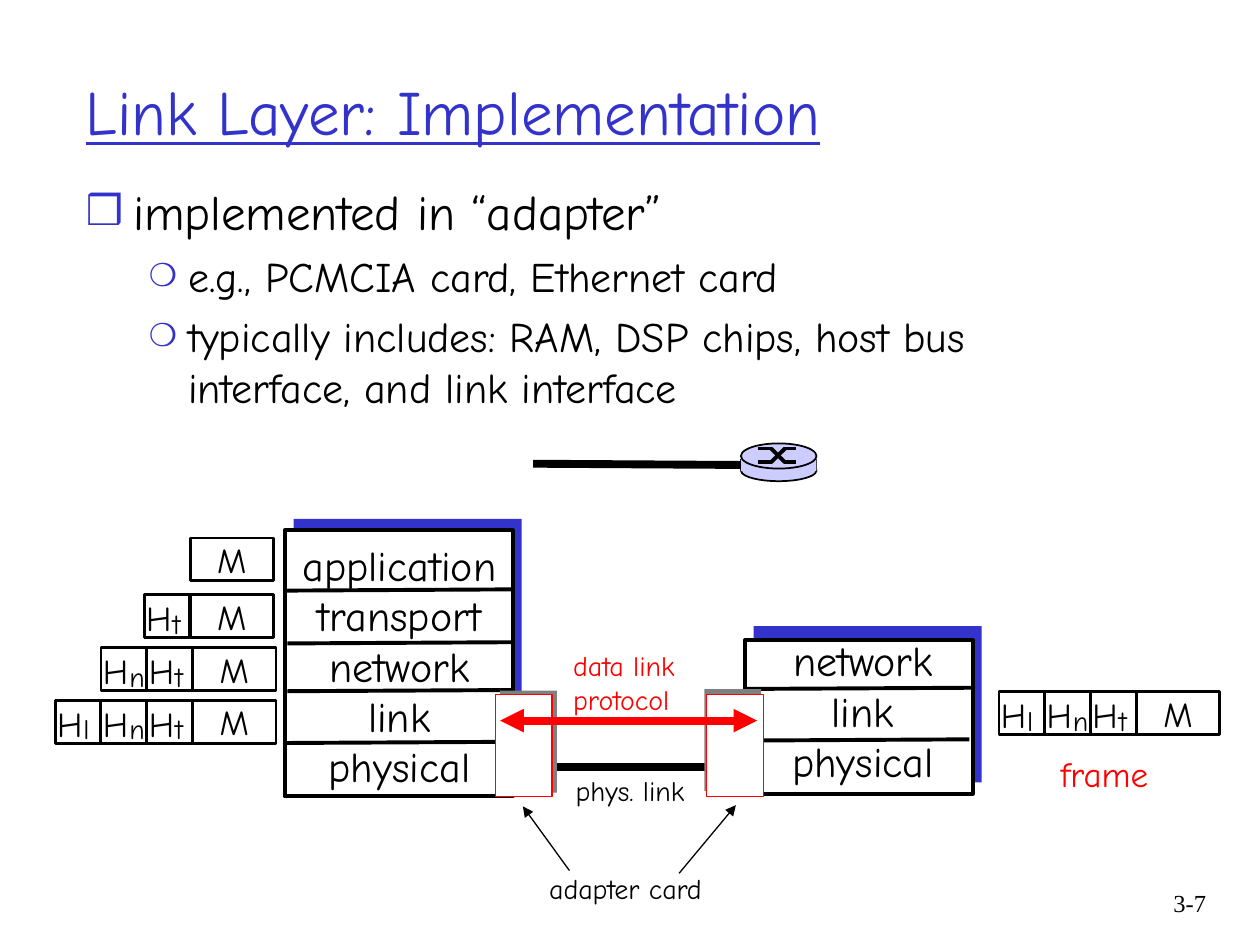
from lxml import etree
from pptx import Presentation
from pptx.dml.color import RGBColor
from pptx.enum.shapes import MSO_CONNECTOR, MSO_SHAPE
from pptx.enum.text import MSO_ANCHOR, MSO_AUTO_SIZE, PP_ALIGN
from pptx.oxml.ns import qn
from pptx.util import Pt

RECT, OVAL = MSO_SHAPE.RECTANGLE, MSO_SHAPE.OVAL
STRAIGHT = MSO_CONNECTOR.STRAIGHT
LEFT, MID, RIGHT = PP_ALIGN.LEFT, PP_ALIGN.CENTER, PP_ALIGN.RIGHT
TOP, CENTER = MSO_ANCHOR.TOP, MSO_ANCHOR.MIDDLE
FIXED = MSO_AUTO_SIZE.NONE
HEX = {"blue": "3333CC", "black": "000000", "white": "FFFFFF",
       "red": "FF0000", "gray": "808080", "pale": "CCCCFF"}
RGB = {name: RGBColor.from_string(code) for name, code in HEX.items()}

deck = Presentation()
deck.slide_width, deck.slide_height = Pt(720), Pt(540)
slide = deck.slides.add_slide(deck.slide_layouts[1])
shapes = slide.shapes


def put(text, x, y, w, h, host=None, kind=None, fill=None, edge=None, weight=1,
        size=16, color="black", font="Comic Neue", align=LEFT, anchor=TOP,
        wrap=False, under=False):
    """Place text in a placeholder (host), a preset shape (kind) or a text box."""
    spot = Pt(x), Pt(y), Pt(w), Pt(h)
    if host is not None:
        item = host
        item.left, item.top, item.width, item.height = spot
    elif kind is not None:
        item = shapes.add_shape(kind, *spot)
        item.shadow.inherit = False
        item.fill.solid()
        item.fill.fore_color.rgb = RGB[fill]
        if edge:
            item.line.color.rgb = RGB[edge]
            item.line.width = Pt(weight)
        else:
            item.line.fill.background()
    else:
        item = shapes.add_textbox(*spot)
    if text:
        frame = item.text_frame
        frame.auto_size = FIXED
        frame.word_wrap = wrap
        frame.vertical_anchor = anchor
        frame.text = text
        for para in frame.paragraphs:
            para.alignment = align
            face = para.runs[0].font
            face.name, face.size = font, Pt(size)
            face.color.rgb = RGB[color]
            if under:
                face.underline = True
    return item


def line(x1, y1, x2, y2, weight=2.25, color="black", ends=()):
    link = shapes.add_connector(STRAIGHT, Pt(x1), Pt(y1), Pt(x2), Pt(y2))
    link.line.color.rgb = RGB[color]
    link.line.width = Pt(weight)
    props = link._element.spPr
    for end in ends:
        etree.SubElement(props.find(qn("a:ln")), qn("a:" + end), type="triangle")
    etree.SubElement(props, qn("a:effectLst"))


# Title, list and page number
put("Link Layer: Implementation", 41.8, 18, 612, 90, host=shapes.title, size=36,
    color="blue", anchor=CENTER, wrap=True, under=True)
body = put("implemented in “adapter”\n"
           "e.g., PCMCIA card, Ethernet card\n"
           "typically includes: RAM, DSP chips, host bus interface, and link interface",
           41.8, 100, 612, 366, host=slide.placeholders[1], size=24, wrap=True)
for row, para in enumerate(body.text_frame.paragraphs):
    if row:
        para.level, mark, part, left, hang = 1, "❍", 75, 58.5, 22.5
    else:
        para.runs[0].font.size = Pt(28)
        mark, part, left, hang = "❒", 85, 27, 27
    para.space_before = Pt(5.76 if row else 0)
    props = para._p.get_or_add_pPr()
    props.set("marL", str(Pt(left)))
    props.set("indent", str(-Pt(hang)))
    tint = etree.SubElement(props, qn("a:buClr"))
    etree.SubElement(tint, qn("a:srgbClr"), val=HEX["blue"])
    etree.SubElement(props, qn("a:buSzPct"), val=str(part * 1000))
    etree.SubElement(props, qn("a:buChar"), char=mark)
put("3-7", 643, 504, 53.3, 36, size=14, font="Times New Roman", align=RIGHT, wrap=True)

# Protocol stacks: back panel, front panel, dividers, layer names
stacks = [
    ((167.8, 296.6, 130.3, 152), (162.7, 303.1, 130.3, 152),
     [(162.7, 337.5), (164.2, 367.7), (164.2, 395), (162, 424.6)],
     "application\ntransport\nnetwork\nlink\nphysical", (161.3, 304.6, 133.9, 151.2)),
    ((430.6, 357.8, 130.3, 89.3), (425.5, 365.8, 130.3, 87.8),
     [(427, 393.7), (424.8, 423.2)],
     "network\nlink\nphysical", (440.6, 359.3, 105.1, 93.6)),
]
for back, front, cuts, names, area in stacks:
    put("", *back, kind=RECT, fill="blue")
    put("", *front, kind=RECT, fill="white", edge="black", weight=2.25)
    for x, y in cuts:
        line(x, y, x + 129.2, y - 0.7)
    put(names, *area, size=24, align=MID)

# Messages with the headers that each layer adds
cell = {"kind": RECT, "fill": "white", "edge": "black", "weight": 1.5}
for x, y, heads in [(108.7, 307.4, ""), (108.7, 339.8, "t"), (110.2, 370.1, "tn"),
                    (110.2, 400.3, "tnl"), (649.4, 395.3, "tnl")]:
    put("M", x, y, 47.5, 24.5, size=20, align=MID, anchor=CENTER, **cell)
    for step, sub in enumerate(heads, 1):
        left = x - 26.2 * step
        put("", left, y, 26, 24.5, **cell)
        put("H", left - 6, y - 2.4, 24.5, 31, size=20, wrap=True)
        put(sub, left + 9, y + 3, 23, 26.6, wrap=True)
put("frame", 599, 426.2, 71.3, 31, size=20, color="red")
line(293, 438.5, 423.4, 438.5, 4.5)

# Router
disc = {"kind": OVAL, "fill": "pale", "edge": "black"}
put("", 423.4, 262.8, 43.2, 12.2, **disc)
for x in (423.4, 466.6):
    line(x, 262.1, x, 269.3, 1)
put("", 423.4, 262.1, 43.2, 7.2, kind=RECT, fill="pale")
put("", 423.4, 253.4, 43.2, 14.4, **disc)
for start, end in [(256.3, 264.2), (264.2, 256.3)]:
    line(433.4, start, 441, start)
    line(440.6, start, 448.6, end)
    line(447.8, end, 455, end)
line(304.6, 265, 423.4, 265.7, 4.5)

# Adapter cards and the links between them
for shade, card in [((285.8, 394.6), 283), ((402.5, 393.8), 403.9)]:
    put("", *shade, 32.4, 58.3, kind=RECT, fill="gray")
    put("", card, 396.7, 32.4, 58.3, kind=RECT, fill="white", edge="red", weight=0.75)
put("phys. link", 321.8, 438.5, 82.8, 26.6)
line(285.8, 411.8, 432.7, 411.8, 4.5, "red", ("headEnd", "tailEnd"))
put("data link\nprotocol", 320.4, 367.2, 78.5, 46, color="red")
put("adapter card", 306.7, 494.6, 111.6, 26.6)
line(325.4, 497.5, 298.8, 460.8, 0.75, ends=["tailEnd"])
line(388.1, 499, 420.5, 460.1, 0.75, ends=["tailEnd"])

deck.save("out.pptx")
